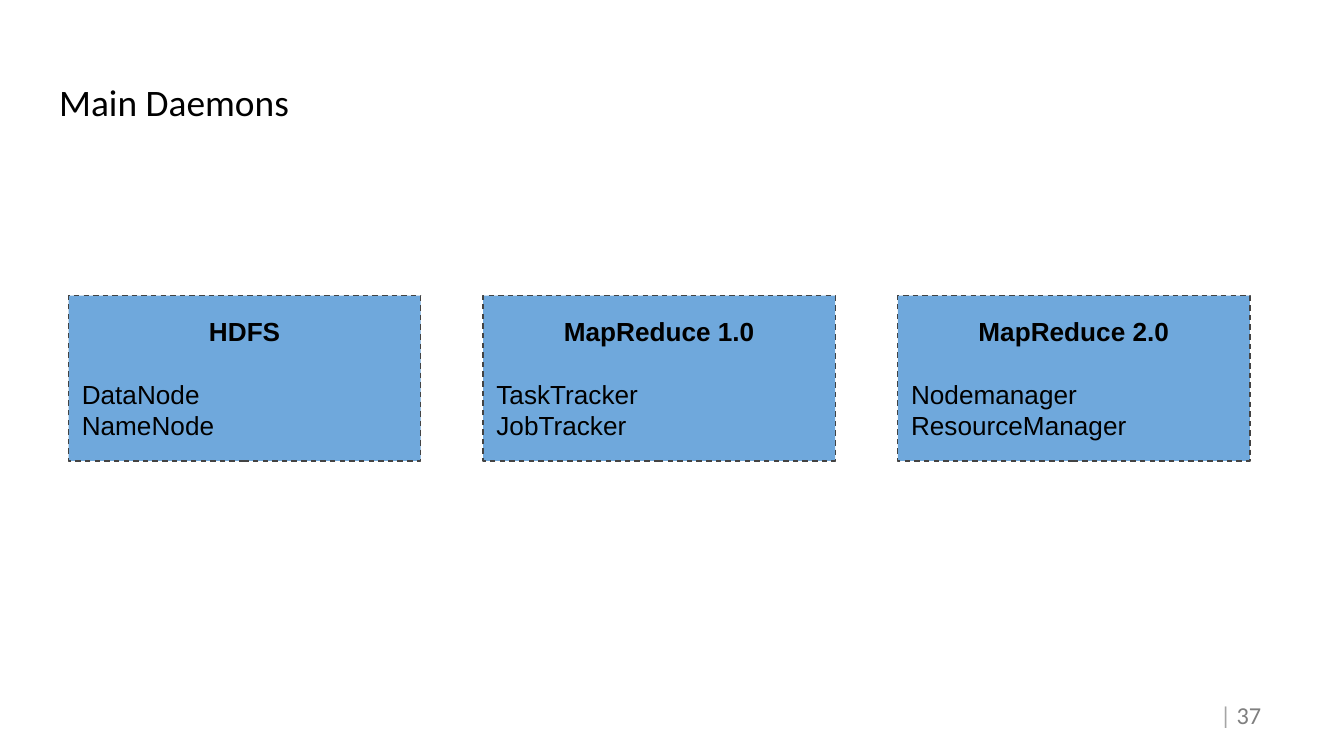
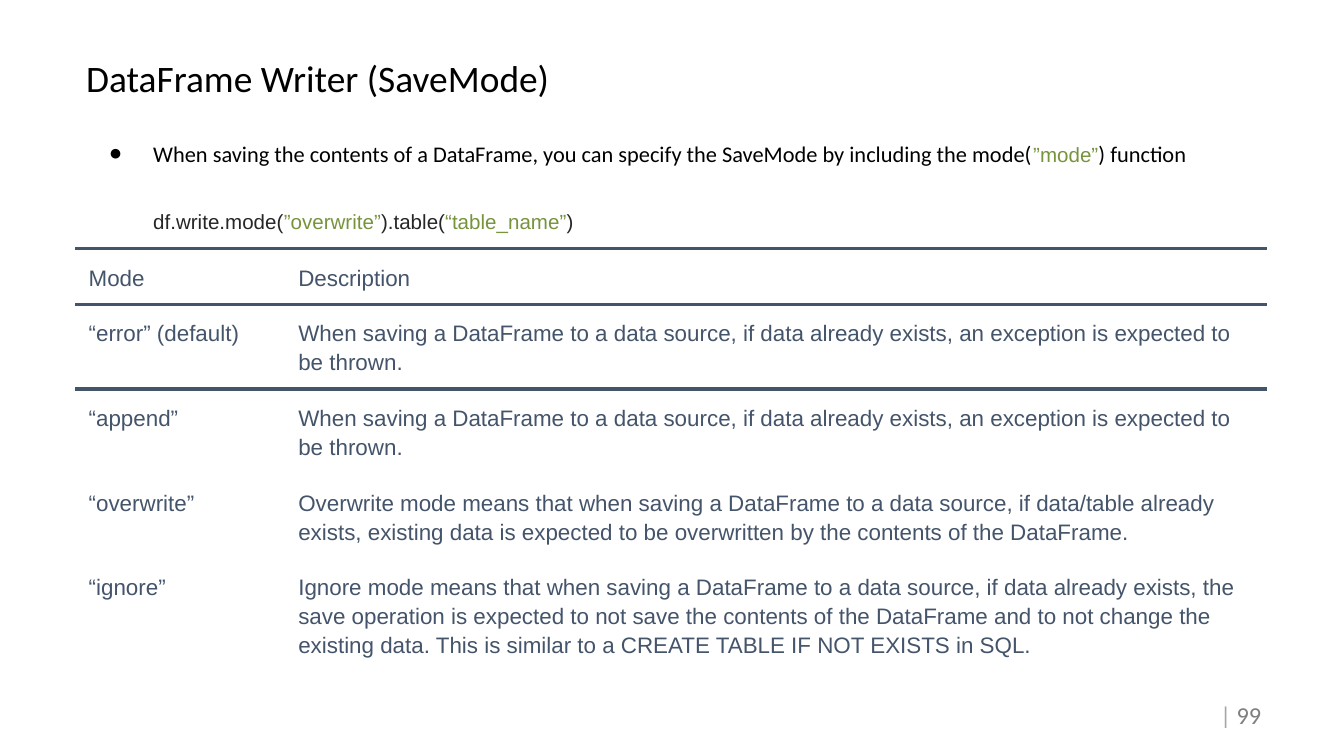
from dataclasses import dataclass

from lxml.etree import SubElement
from pptx import Presentation
from pptx.dml.color import RGBColor
from pptx.enum.dml import MSO_LINE
from pptx.enum.shapes import MSO_SHAPE
from pptx.enum.text import MSO_ANCHOR, MSO_AUTO_SIZE, PP_ALIGN
from pptx.oxml.ns import qn
from pptx.util import Inches, Pt


@dataclass(frozen=True)
class Theme:
    heading_font: str = "Calibri"
    text_font: str = "Arial"
    black: str = "000000"
    code: str = "262626"
    string: str = "77933C"
    table: str = "44546A"
    box: str = "6FA8DC"
    box_line: str = "434343"
    page_bar: str = "A5A5A5"
    page_number: str = "7F7F7F"
    title_size: int = 20
    box_size: int = 14
    number_size: int = 13
    text_size: int = 12
    code_size: int = 11
    inset: float = 0.1


THEME = Theme()

DAEMONS = [
    ("HDFS", ["DataNode", "NameNode"]),
    ("MapReduce 1.0", ["TaskTracker", "JobTracker"]),
    ("MapReduce 2.0", ["Nodemanager", "ResourceManager"]),
]

PROSE = (THEME.heading_font, THEME.text_size, THEME.black)
CODE = (THEME.text_font, THEME.code_size, THEME.code)
STRING = (THEME.text_font, THEME.code_size, THEME.string)
INTRO = [
    ("When saving the contents of a DataFrame, you can specify the SaveMode "
     "by including the mode(", PROSE),
    ("”mode”", STRING),
    (") function", PROSE),
]
EXAMPLE = [
    ("df.write.mode(", CODE),
    ("”overwrite”", STRING),
    (").table(", CODE),
    ("“table_name”", STRING),
    (")", CODE),
]

SAVE_MODES = [
    ("Mode", "Description"),
    ("“error” (default)",
     "When saving a DataFrame to a data source, if data already exists, "
     "an exception is expected to be thrown."),
    ("“append”",
     "When saving a DataFrame to a data source, if data already exists, "
     "an exception is expected to be thrown."),
    ("“overwrite”",
     "Overwrite mode means that when saving a DataFrame to a data source, "
     "if data/table already exists, existing data is expected to be "
     "overwritten by the contents of the DataFrame."),
    ("“ignore”",
     "Ignore mode means that when saving a DataFrame to a data source, "
     "if data already exists, the save operation is expected to not save the "
     "contents of the DataFrame and to not change the existing data. This is "
     "similar to a CREATE TABLE IF NOT EXISTS in SQL."),
]
COLUMN_WIDTHS = (1.56, 7.31)
ROW_HEIGHT = 0.41
RULED_EDGES = (0, 1, 2)


def color(value):
    return RGBColor.from_string(value)


def style(font, name, size, tint, bold=False):
    font.name = name
    font.size = Pt(size)
    font.bold = bold
    font.color.rgb = color(tint)


def add_spans(para, spans):
    for text, look in spans:
        span = para.add_run()
        span.text = text
        style(span.font, *look)


def place(shape, left, top, width, height):
    shape.left, shape.top = Inches(left), Inches(top)
    shape.width, shape.height = Inches(width), Inches(height)


def prepare_frame(frame, anchor=MSO_ANCHOR.TOP):
    frame.word_wrap = True
    frame.auto_size = MSO_AUTO_SIZE.NONE
    frame.vertical_anchor = anchor
    frame.margin_left = frame.margin_right = Inches(THEME.inset)
    frame.margin_top = frame.margin_bottom = Inches(THEME.inset)


def set_bullet(para, margin, indent, mark=None):
    properties = para._p.get_or_add_pPr()
    properties.set("marL", str(Inches(margin)))
    properties.set("indent", str(Inches(indent)))
    if mark:
        SubElement(properties, qn("a:buChar")).set("char", mark)
    else:
        SubElement(properties, qn("a:buNone"))


def add_page(deck, layout, title, title_box, anchor, number):
    page = deck.slides.add_slide(deck.slide_layouts[layout])
    heading = page.shapes.title
    place(heading, *title_box)
    prepare_frame(heading.text_frame, anchor)
    heading.text_frame.text = title
    para = heading.text_frame.paragraphs[0]
    para.alignment = PP_ALIGN.LEFT
    style(para.runs[0].font, THEME.heading_font, THEME.title_size, THEME.black)

    footer = page.shapes.add_textbox(
        Inches(8.98), Inches(5.11), Inches(0.6), Inches(0.43))
    prepare_frame(footer.text_frame)
    add_spans(footer.text_frame.paragraphs[0], [
        ("| ", (THEME.heading_font, THEME.number_size, THEME.page_bar)),
        (str(number), (THEME.heading_font, THEME.number_size, THEME.page_number)),
    ])
    return page


def add_daemon_box(page, left, top, width, height, name, daemons):
    box = page.shapes.add_shape(
        MSO_SHAPE.RECTANGLE, Inches(left), Inches(top), Inches(width), Inches(height))
    box.shadow.inherit = False
    box.fill.solid()
    box.fill.fore_color.rgb = color(THEME.box)
    box.line.color.rgb = color(THEME.box_line)
    box.line.width = Pt(0.75)
    box.line.dash_style = MSO_LINE.DASH
    frame = box.text_frame
    prepare_frame(frame, MSO_ANCHOR.MIDDLE)
    frame.text = "\n".join([name, *daemons])
    for index, para in enumerate(frame.paragraphs):
        is_name = index == 0
        para.alignment = PP_ALIGN.CENTER if is_name else PP_ALIGN.LEFT
        style(para.runs[0].font, THEME.text_font, THEME.box_size, THEME.black, is_name)
    frame.paragraphs[1].space_before = Pt(17)


def build_daemons(deck):
    page = add_page(deck, 5, "Main Daemons", (0.34, 0.49, 9.32, 0.63),
                    MSO_ANCHOR.TOP, 37)
    left, right, width = 0.51, 9.3, 2.62
    step = (right - left - width) / (len(DAEMONS) - 1)
    for index, (name, daemons) in enumerate(DAEMONS):
        add_daemon_box(page, left + index * step, 2.2, width, 1.23, name, daemons)


def set_border(cell, side, ruled):
    line = SubElement(cell._tc.get_or_add_tcPr(), qn(f"a:ln{side}"))
    if ruled:
        line.set("w", str(Pt(2)))
        fill = SubElement(line, qn("a:solidFill"))
        SubElement(fill, qn("a:srgbClr")).set("val", THEME.table)
    else:
        SubElement(line, qn("a:noFill"))


def fill_cell(cell, text, row):
    cell.margin_left = cell.margin_right = Inches(THEME.inset)
    cell.margin_top = cell.margin_bottom = Inches(THEME.inset)
    ruled = {"L": False, "R": False,
             "T": row in RULED_EDGES, "B": row + 1 in RULED_EDGES}
    for side, is_ruled in ruled.items():
        set_border(cell, side, is_ruled)
    cell.fill.background()
    cell.text_frame.text = text
    para = cell.text_frame.paragraphs[0]
    para.line_spacing = 1.15
    style(para.runs[0].font, THEME.text_font, THEME.text_size, THEME.table)


def add_mode_table(page):
    table = page.shapes.add_table(
        len(SAVE_MODES), len(COLUMN_WIDTHS), Inches(0.56), Inches(1.85),
        Inches(sum(COLUMN_WIDTHS)), Inches(ROW_HEIGHT * len(SAVE_MODES))).table
    table.first_row = table.horz_banding = False
    for column, width in zip(table.columns, COLUMN_WIDTHS):
        column.width = Inches(width)
    for row, texts in enumerate(SAVE_MODES):
        table.rows[row].height = Inches(ROW_HEIGHT)
        for column, text in enumerate(texts):
            fill_cell(table.cell(row, column), text, row)


def build_save_modes(deck):
    page = add_page(deck, 1, "DataFrame Writer (SaveMode)", (0.54, 0.31, 8.87, 0.53),
                    MSO_ANCHOR.MIDDLE, 99)
    body = page.placeholders[1]
    place(body, 0.54, 0.84, 9.32, 0.53)
    prepare_frame(body.text_frame)
    intro = body.text_frame.paragraphs[0]
    example = body.text_frame.add_paragraph()
    set_bullet(intro, 0.5, -0.33, "●")
    set_bullet(example, 0, 0.5)
    for para, spans, space in ((intro, INTRO, 0), (example, EXAMPLE, 16)):
        para.line_spacing = 1.5
        para.space_before = para.space_after = Pt(space)
        add_spans(para, spans)
    add_mode_table(page)


def main():
    deck = Presentation()
    deck.slide_width = Inches(10)
    deck.slide_height = deck.slide_width * 9 // 16
    build_daemons(deck)
    build_save_modes(deck)
    deck.save("out.pptx")


if __name__ == "__main__":
    main()
